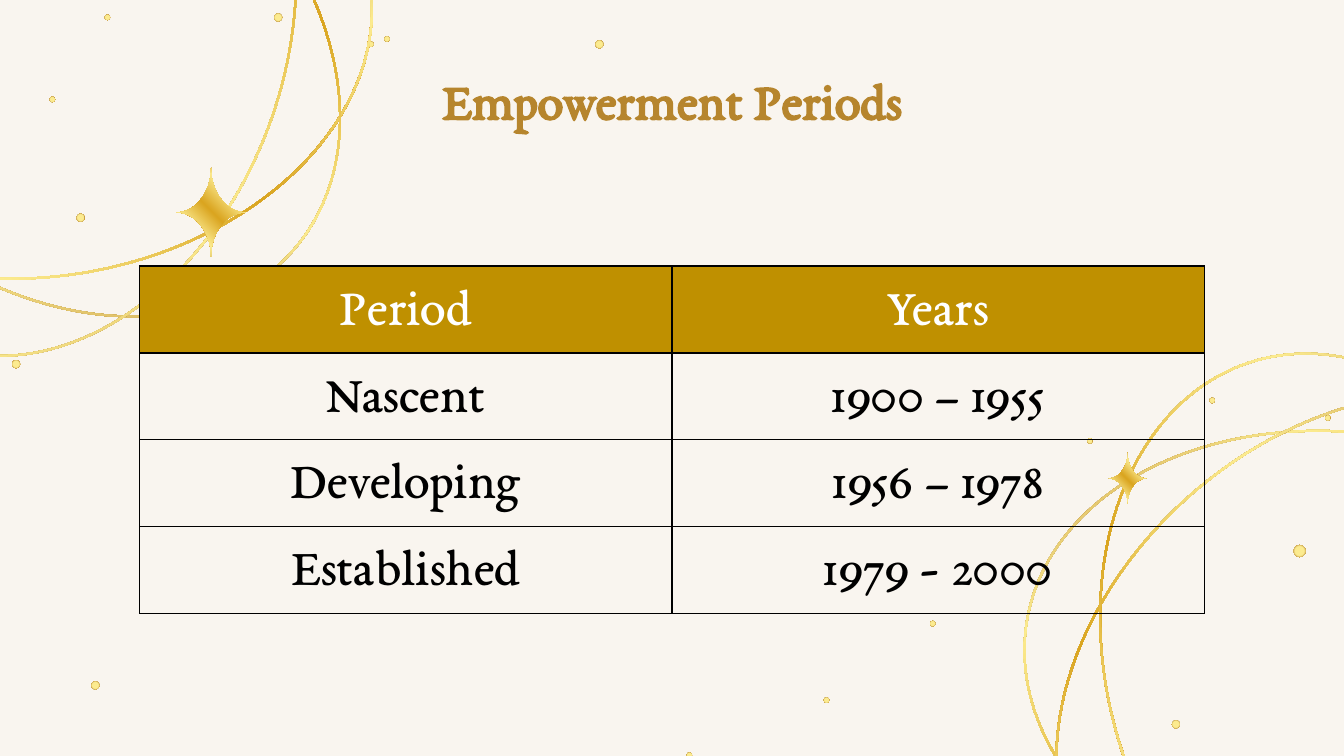
from math import copysign, cos, radians, sin

from lxml.etree import SubElement
from pptx import Presentation
from pptx.dml.color import RGBColor as Rgb
from pptx.enum.shapes import MSO_SHAPE as Kind
from pptx.enum.text import MSO_ANCHOR as Anchor, PP_ALIGN as Align
from pptx.oxml import parse_xml
from pptx.oxml.ns import nsdecls, qn
from pptx.util import Inches, Pt

HUES = {"page": "F9F5EF", "title": "B6852D", "head": "BF9000", "white": "FFFFFF",
        "ink": "000000", "pale": "FCEB8F", "gold": "DAA520", "tan": "C99F4A", "dark": "B88532"}
DOT = [(0, "pale"), (21, "pale"), (52, "pale"), (79, "tan"), (100, "gold")]
RING = [(0, "dark"), (9, "tan"), (25, "pale"), (49, "gold"), (72, "pale"), (86, "tan"), (100, "dark")]
STAR = [(0, "dark"), (9, "gold")] + RING[2:]
RADIAL = '<a:path path="circle"><a:fillToRect l="50000" t="50000" r="50000" b="50000"/></a:path>'
DOTS = {
    0.09: [(9.67, 4.1)],
    0.06: [(0.12, 2.71), (2.07, 0.13), (0.6, 1.62), (4.46, 0.33), (8.75, 5.39), (0.71, 5.1)],
    0.04: [(0.39, 0.74), (8.11, 3.28), (2.76, 0.33), (2.88, 0.29), (0.8, 0.13), (6.15, 5.21),
           (6.94, 4.64), (9.02, 2.98), (9.88, 3.11), (5.13, 5.62)],
}
TURNS = [(9.6, False), (319.3, True), (72, False)]
ROWS = [("Period", "Years"), ("Nascent", "1900 – 1955"),
        ("Developing", "1956 – 1978"), ("Established", "1979 - 2000")]
FONT = {"name": "EB Garamond", "size": Pt(28)}
PAD = {f"margin_{side}": Inches(0.1) for side in ("left", "top", "right", "bottom")}


def put(item, values):
    """Set each attribute named in values."""
    for name, value in values.items():
        setattr(item, name, value)


def shade(shape, stops, angle=None):
    """Give a shape a gradient fill, no line and no shadow."""
    marks = "".join(f'<a:gs pos="{pos * 1000}"><a:srgbClr val="{HUES[hue]}"/></a:gs>'
                    for pos, hue in stops)
    way = RADIAL if angle is None else f'<a:lin ang="{angle * 60000}" scaled="0"/>'
    shape.shadow.inherit = False
    shape.line.fill.background()
    shape.fill.background()
    props = shape._element.spPr
    props.replace(props.find(qn("a:noFill")), parse_xml(
        f'<a:gradFill {nsdecls("a")} rotWithShape="1"><a:gsLst>{marks}</a:gsLst>{way}</a:gradFill>'))


def dot(shapes, x, y, size):
    """Draw a round speck around its centre."""
    spot = shapes.add_shape(Kind.OVAL, Inches(x - size / 2), Inches(y - size / 2),
                            Inches(size), Inches(size))
    shade(spot, DOT)


def ring(shapes, left, top, turn, flip):
    """Draw a thin tilted oval ring."""
    hoop = shapes.add_shape(Kind.DONUT, Inches(left), Inches(top), Inches(4.91), Inches(3.61))
    hoop.adjustments[0] = 0.004
    hoop.rotation = turn
    if flip:
        hoop._element.spPr.xfrm.set("flipH", "1")
    shade(hoop, RING, 45)


def star(shapes, x, y, wide, high, turn):
    """Draw a four-point star with hollow sides."""
    points = []
    for step in range(0, 360, 6):
        c, s = cos(radians(step)), sin(radians(step))
        points.append((Inches(x + copysign(wide * (1 - abs(s)), c)),
                       Inches(y + copysign(high * (1 - abs(c)), s))))
    path = shapes.build_freeform(*points[0])
    path.add_line_segments(points[1:], close=True)
    spark = path.convert_to_shape()
    spark.rotation = turn
    shade(spark, STAR, 315)


def swirl(slide, spot, gem, mirror):
    """Group three rings and a star, mirrored on request."""
    shapes = slide.shapes.add_group_shape().shapes
    for turn, flip in TURNS:
        ring(shapes, *spot, (180 - turn) % 360 if mirror else turn, flip != mirror)
    star(shapes, *gem, 180 if mirror else 0)


def write(frame, text, hue, bold=False):
    """Fill a text frame with one centred line."""
    line = frame.paragraphs[0]
    line.alignment = Align.CENTER
    run = line.add_run()
    run.text = text
    put(run.font, {**FONT, "bold": bold})
    run.font.color.rgb = Rgb.from_string(HUES[hue])
    return line


def title(slide, text):
    """Place the title."""
    box = slide.shapes.title
    put(box, {"left": Inches(0.78), "top": Inches(0.4), "width": Inches(8.44), "height": Inches(0.63)})
    put(box.text_frame, {**PAD, "word_wrap": True, "vertical_anchor": Anchor.TOP})
    write(box.text_frame, text, "title", True)


def edge(cell):
    """Draw the four borders of a cell."""
    props = cell._tc.get_or_add_tcPr()
    for spot, side in enumerate("LRTB"):
        line = props.makeelement(qn(f"a:ln{side}"), {"w": str(Pt(0.75))})
        SubElement(SubElement(line, qn("a:solidFill")), qn("a:srgbClr"), val=HUES["ink"])
        props.insert(spot, line)


def grid(slide, rows):
    """Build the table with a gold head row."""
    table = slide.shapes.add_table(len(rows), 2, Inches(1.04), Inches(1.98),
                                   Inches(7.92), Inches(0.42 * len(rows))).table
    put(table, {"first_row": False, "horz_banding": False})
    for i, row in enumerate(rows):
        for j, text in enumerate(row):
            cell = table.cell(i, j)
            put(cell, PAD)
            line = write(cell.text_frame, text, "ink" if i else "white")
            line.line_spacing = 1.15
            if i:
                cell.fill.background()
            else:
                cell.fill.solid()
                cell.fill.fore_color.rgb = Rgb.from_string(HUES["head"])
            edge(cell)


def main():
    """Build the slide and save it."""
    deck = Presentation()
    put(deck, {"slide_width": Inches(10), "slide_height": Inches(10) * 9 // 16})
    slide = deck.slides.add_slide(deck.slide_layouts[5])
    back = slide.background.fill
    back.solid()
    back.fore_color.rgb = Rgb.from_string(HUES["page"])
    for size, spots in DOTS.items():
        for x, y in spots:
            dot(slide.shapes, x, y, size)
    swirl(slide, (7.6, 3.22), (8.39, 3.56, 0.14, 0.19), False)
    swirl(slide, (-2.12, -1.55), (1.57, 1.58, 0.26, 0.33), True)
    title(slide, "Empowerment Periods")
    grid(slide, ROWS)
    deck.save("out.pptx")


if __name__ == "__main__":
    main()
